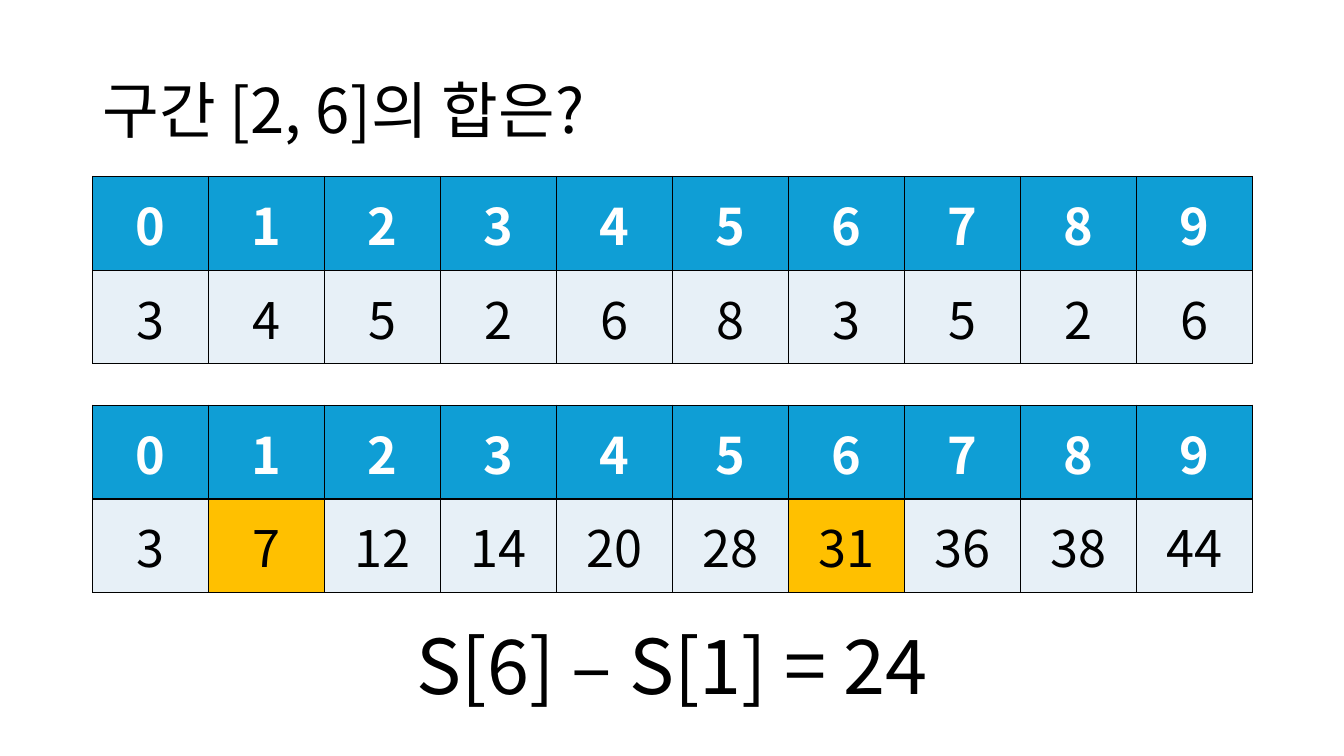
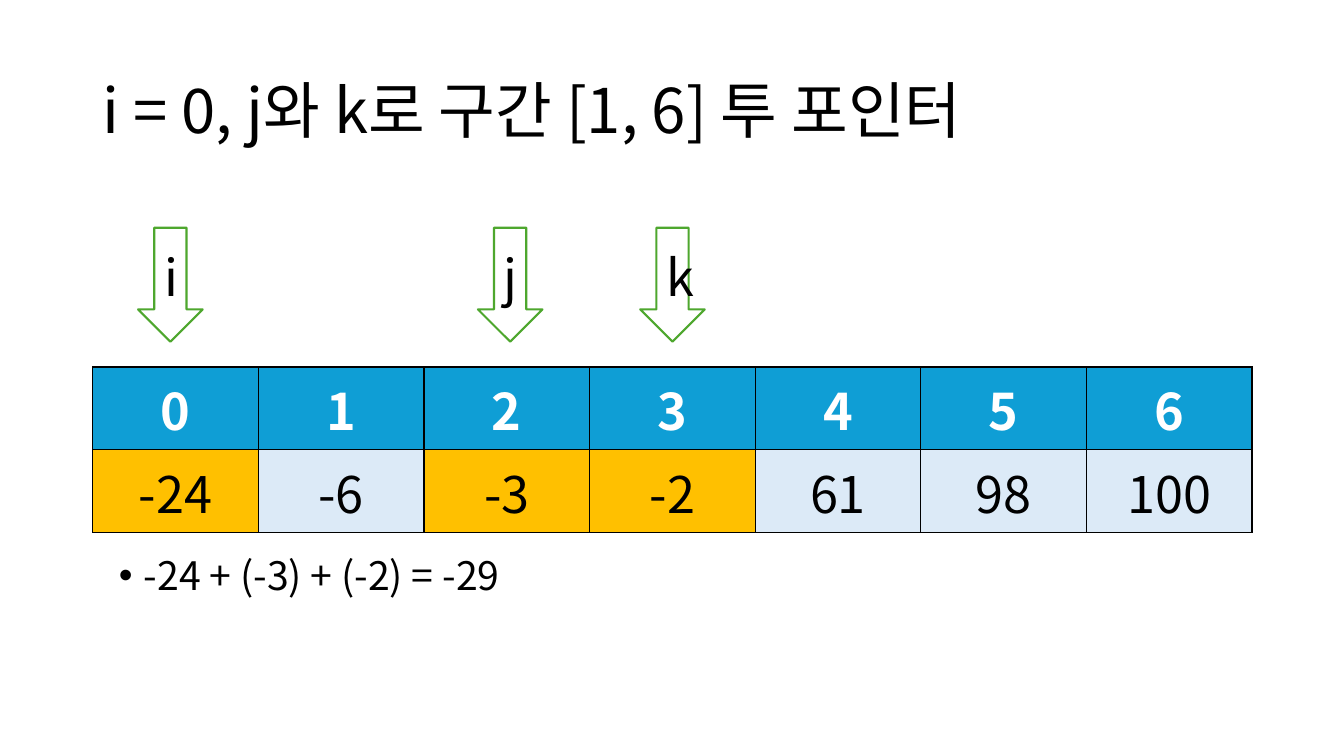
from dataclasses import dataclass

from lxml import etree
from pptx import Presentation
from pptx import util as u
from pptx.dml.color import RGBColor
from pptx.enum import shapes, text
from pptx.oxml import ns

In = u.Inches


@dataclass(frozen=True)
class Theme:
    font: str = "Noto Sans CJK KR"
    ink: str = "000000"
    paper: str = "FFFFFF"
    header: str = "0F9ED5"
    mark: str = "FFC000"
    pale_gray: str = "E7F0F7"
    pale_blue: str = "DCEAF7"
    arrow: str = "4EA72E"
    title_pt: int = 44
    cell_pt: int = 36
    result_pt: int = 54
    bullet_pt: int = 28
    border_pt: float = 1
    arrow_pt: float = 1.5
    left: float = 0.92
    width: float = 11.5


@dataclass(frozen=True)
class ArrayTable:
    top: float
    row_height: float
    values: tuple[int, ...]
    body: str
    marked: tuple[int, ...] = ()


@dataclass(frozen=True)
class Pointer:
    name: str
    left: float


T = Theme()
CENTER = text.PP_ALIGN.CENTER
MIDDLE = text.MSO_ANCHOR.MIDDLE


def rgb(color: str) -> RGBColor:
    return RGBColor.from_string(color)


def write(tf, words: str, *, size: int, color: str = T.ink, bold: bool = False,
          align=None, spacing: float | None = None, bullet: str = "") -> None:
    """Put one formatted paragraph into a text frame."""
    p = tf.paragraphs[0]
    if bullet:
        pPr = p._p.get_or_add_pPr()
        pPr.set("marL", str(In(0.25)))
        pPr.set("indent", str(-In(0.25)))
        etree.SubElement(pPr, ns.qn("a:buFont")).set("typeface", "Arial")
        etree.SubElement(pPr, ns.qn("a:buChar")).set("char", bullet)
    p.alignment = align
    p.line_spacing = spacing
    r = p.add_run()
    r.text = words
    r.font.size, r.font.bold, r.font.name = u.Pt(size), bold, T.font
    r.font.color.rgb = rgb(color)
    # Korean glyphs take the East Asian typeface
    etree.SubElement(r._r.get_or_add_rPr(), ns.qn("a:ea")).set("typeface", T.font)


def add_text(s, words: str, left: float, top: float, width: float, height: float, *,
             anchor=text.MSO_ANCHOR.TOP, wrap: bool = True, **fmt) -> None:
    tf = s.shapes.add_textbox(In(left), In(top), In(width), In(height)).text_frame
    tf.word_wrap = wrap
    tf.vertical_anchor = anchor
    write(tf, words, **fmt)


def add_borders(cell) -> None:
    tcPr = cell._tc.get_or_add_tcPr()
    for side in "LRTB":
        ln = etree.SubElement(tcPr, ns.qn(f"a:ln{side}"), w=str(u.Pt(T.border_pt)))
        fill = etree.SubElement(ln, ns.qn("a:solidFill"))
        etree.SubElement(fill, ns.qn("a:srgbClr"), val=T.ink)


def add_array(s, spec_: ArrayTable) -> None:
    """Draw an index row above a value row, with marked values highlighted."""
    n = len(spec_.values)
    table = s.shapes.add_table(2, n, In(T.left), In(spec_.top), In(T.width),
                               In(2 * spec_.row_height)).table
    for row in table.rows:
        row.height = In(spec_.row_height)
    for i, value in enumerate(spec_.values):
        table.columns[i].width = In(T.width / n)
        body = T.mark if i in spec_.marked else spec_.body
        rows = ((i, T.header, T.paper, True), (value, body, T.ink, False))
        for row, (number, fill, color, bold) in enumerate(rows):
            cell = table.cell(row, i)
            add_borders(cell)
            cell.fill.solid()
            cell.fill.fore_color.rgb = rgb(fill)
            cell.vertical_anchor = MIDDLE
            write(cell.text_frame, str(number), size=T.cell_pt, color=color,
                  bold=bold, align=CENTER)


def add_pointer(s, pointer: Pointer) -> None:
    sp = s.shapes.add_shape(shapes.MSO_SHAPE.DOWN_ARROW, In(pointer.left), In(2.26),
                            In(0.64), In(1.13))
    sp.shadow.inherit = False
    sp.fill.solid()
    sp.fill.fore_color.rgb = rgb(T.paper)
    sp.line.color.rgb = rgb(T.arrow)
    sp.line.width = u.Pt(T.arrow_pt)
    sp.text_frame.vertical_anchor = MIDDLE
    write(sp.text_frame, pointer.name, size=T.cell_pt, align=CENTER)


def new_slide(prs, title: str):
    s = prs.slides.add_slide(prs.slide_layouts[6])
    add_text(s, title, T.left, 0.4, T.width, 1.45, anchor=MIDDLE,
             size=T.title_pt, spacing=0.9)
    return s


def prefix_sum_slide(prs) -> None:
    s = new_slide(prs, "구간 [2, 6]의 합은?")
    # Source array, then its running sums
    add_array(s, ArrayTable(1.75, 0.93, (3, 4, 5, 2, 6, 8, 3, 5, 2, 6), T.pale_gray))
    add_array(s, ArrayTable(4.02, 0.93, (3, 7, 12, 14, 20, 28, 31, 36, 38, 44),
                            T.pale_gray, marked=(1, 6)))
    add_text(s, "S[6] – S[1] = 24", 3.86, 6.09, 5.61, 1.01, wrap=False,
             size=T.result_pt, align=CENTER)


def two_pointer_slide(prs) -> None:
    s = new_slide(prs, "i = 0, j와 k로 구간 [1, 6] 투 포인터")
    add_array(s, ArrayTable(3.64, 0.82, (-24, -6, -3, -2, 61, 98, 100),
                            T.pale_blue, marked=(0, 2, 3)))
    # Pointers above the array
    for pointer in (Pointer("i", 1.37), Pointer("j", 4.74), Pointer("k", 6.35)):
        add_pointer(s, pointer)
    add_text(s, "-24 + (-3) + (-2) = -29", 1.08, 5.47, T.width, 1.45,
             size=T.bullet_pt, spacing=0.9, bullet="•")


def main() -> None:
    prs = Presentation()
    prs.slide_width, prs.slide_height = In(13.33), In(7.5)
    prefix_sum_slide(prs)
    two_pointer_slide(prs)
    prs.save("out.pptx")


if __name__ == "__main__":
    main()
